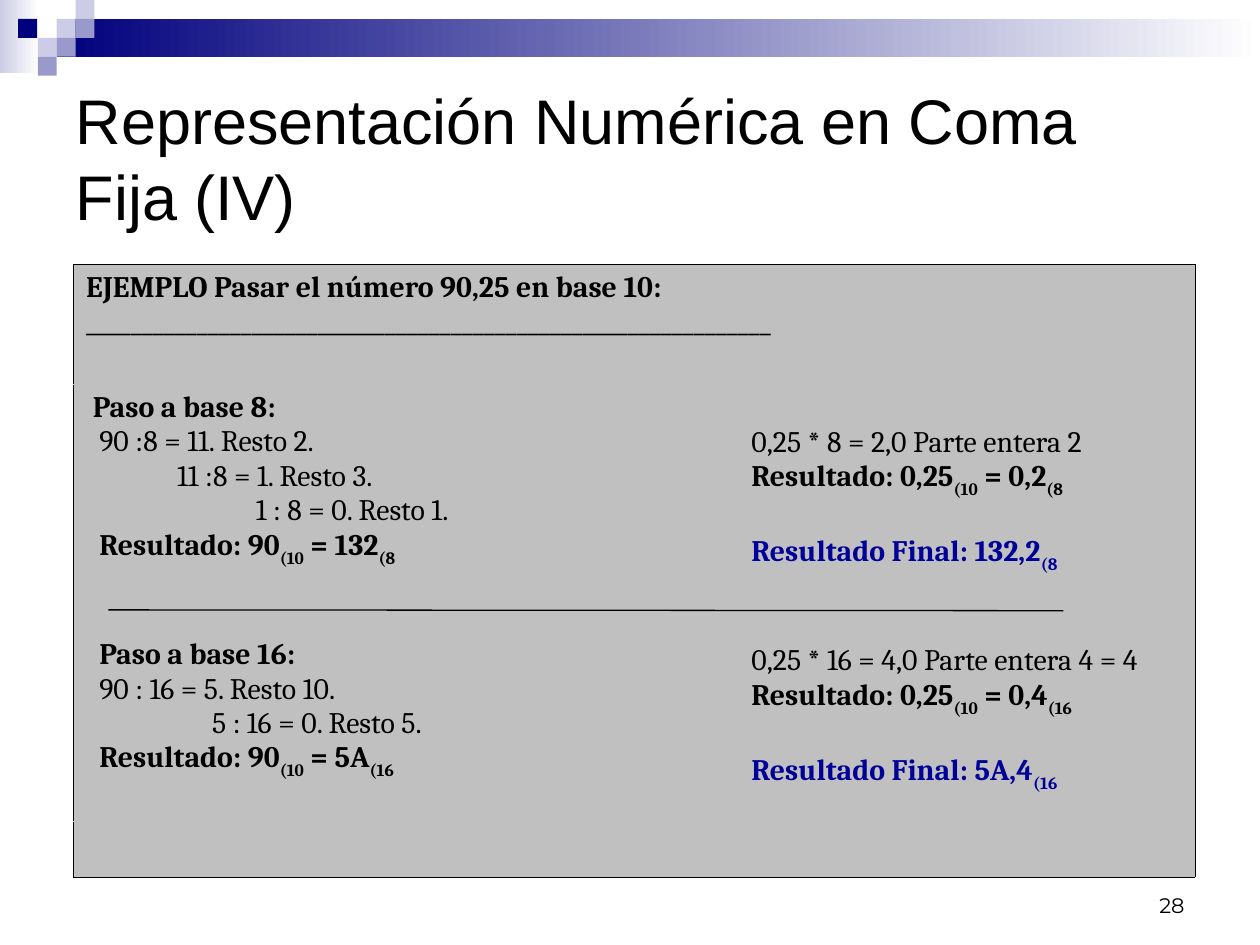
from lxml.etree import SubElement
from pptx import Presentation
from pptx.dml.color import RGBColor
from pptx.enum.shapes import MSO_CONNECTOR as Connector, MSO_SHAPE as Shape
from pptx.enum.text import MSO_ANCHOR as Anchor, MSO_AUTO_SIZE as AutoSize, PP_ALIGN as Align
from pptx.oxml.ns import qn
from pptx.util import Pt

BLACK, GRAY, BLUE = "000000", "C0C0C0", "000099"
NAVY, LILAC, PALE, WHITE = "00007D", "9999CC", "CCCCE6", "FFFFFF"
rgb = RGBColor.from_string


def write(para, text, size=17, font="Cambria", color=BLACK, bold=False,
          align=Align.LEFT, before=0, indent=0):
    """Fill a paragraph; every second piece between bars is a subscript."""
    para.alignment = align
    para.space_before = Pt(before)
    properties = para._p.get_or_add_pPr()
    properties.set("marL", str(Pt(indent)))
    properties.set("indent", "0")
    for number, piece in enumerate(text.split("|")):
        span = para.add_run()
        span.text = piece
        span.font.size = Pt(size)
        span.font.name = font
        span.font.bold = bold
        span.font.color.rgb = rgb(color)
        if number % 2:
            span._r.get_or_add_rPr().set("baseline", "-30000")


def add_block(left, top, width, height, *colors):
    """Add a borderless rectangle, with a gradient when two colours are given."""
    block = page.shapes.add_shape(Shape.RECTANGLE, Pt(left), Pt(top), Pt(width), Pt(height))
    block.shadow.inherit = False
    block.line.fill.background()
    if len(colors) == 1:
        block.fill.solid()
        block.fill.fore_color.rgb = rgb(colors[0])
        return
    block.fill.gradient()
    block.fill.gradient_angle = 0
    for stop, position, color in zip(block.fill.gradient_stops, (0, 1), colors):
        stop.position = position
        stop.color.rgb = rgb(color)


deck = Presentation()
deck.slide_width, deck.slide_height = Pt(720), Pt(540)
page = deck.slides.add_slide(deck.slide_layouts[5])

# Header band and its squares
add_block(0, 0, 22.3, 41.8, PALE, WHITE)
add_block(32.4, 10.8, 687.6, 21.6, NAVY, WHITE)
for left, top, color in [
    (32.4, 10.8, PALE), (43.2, 0, PALE), (43.2, 10.8, LILAC), (21.6, 21.6, PALE),
    (10.4, 10.8, NAVY), (32.4, 21.6, LILAC), (21.6, 32.4, LILAC),
]:
    add_block(left, top, 10.8, 10.8, color)

# Slide number
number_box = page.shapes.add_textbox(Pt(516), Pt(492), Pt(168), Pt(36))
number_box.text_frame.word_wrap = True
number_box.text_frame.vertical_anchor = Anchor.BOTTOM
write(number_box.text_frame.paragraphs[0], "28", size=12, font="Montserrat", align=Align.RIGHT)

# Title
title = page.shapes.title
title.left, title.top, title.width, title.height = Pt(36), Pt(36), Pt(648), Pt(108)
title.text_frame.auto_size = AutoSize.NONE
title.text_frame.vertical_anchor = Anchor.MIDDLE
write(title.text_frame.paragraphs[0], "Representación Numérica en Coma Fija (IV)",
      size=36, font="Arial")

# Example table
table = page.shapes.add_table(3, 2, Pt(42), Pt(151.2), Pt(640.8), Pt(350)).table
table.first_row = table.horz_banding = False
for column, width in zip(table.columns, (380.2, 260.6)):
    column.width = Pt(width)
for row, height in zip(table.rows, (68.4, 249.8, 31.8)):
    row.height = Pt(height)
table.cell(0, 0).merge(table.cell(0, 1))

for row in range(3):
    for column in range(2):
        cell = table.cell(row, column)
        outer = {"lnL": column == 0, "lnR": column == 1, "lnT": row == 0, "lnB": row == 2}
        if row == 0:
            outer["lnR"] = True
        for side, is_outer in outer.items():
            border = SubElement(cell._tc.get_or_add_tcPr(), qn(f"a:{side}"), w=str(Pt(0.45)))
            fill = SubElement(border, qn("a:solidFill"))
            SubElement(fill, qn("a:srgbClr"), val=BLACK if is_outer else GRAY)
        cell.fill.solid()
        cell.fill.fore_color.rgb = rgb(GRAY)

LINE = 19.8  # height of one text line
bold = {"bold": True}
final = {"bold": True, "color": BLUE, "before": LINE}
heading = [
    ("EJEMPLO Pasar el número 90,25 en base 10:", bold),
    ("_" * 62, {}),
]
integer_part = [
    ("Paso a base 8:", {"bold": True, "indent": 3.8}),
    ("90 :8 = 11. Resto 2.", {"indent": 7.5}),
    ("11 :8 = 1. Resto 3.", {"indent": 52}),
    ("1 : 8 = 0. Resto 1.", {"indent": 97}),
    ("Resultado: 90|(10| = 132|(8", {"bold": True, "indent": 7.5}),
    ("Paso a base 16:", {"bold": True, "indent": 7.5, "before": 2 * LINE}),
    ("90 : 16 = 5. Resto 10.", {"indent": 7.5}),
    ("5 : 16 = 0. Resto 5.", {"indent": 72}),
    ("Resultado: 90|(10| = 5A|(16", {"bold": True, "indent": 7.5}),
]
fraction_part = [
    ("0,25 * 8 = 2,0 Parte entera 2", {}),
    ("Resultado: 0,25|(10| = 0,2|(8", bold),
    ("Resultado Final: 132,2|(8", final),
    ("0,25 * 16 = 4,0 Parte entera 4 = 4", {"before": 2 * LINE}),
    ("Resultado: 0,25|(10| = 0,4|(16", bold),
    ("Resultado Final: 5A,4|(16", final),
]
for row, column, lines, align in [
    (0, 0, heading, Align.LEFT),
    (1, 0, integer_part, Align.JUSTIFY),
    (1, 1, fraction_part, Align.JUSTIFY),
]:
    frame = table.cell(row, column).text_frame
    for number, (text, style) in enumerate(lines):
        para = frame.add_paragraph() if number else frame.paragraphs[0]
        write(para, text, align=align, **style)
table.cell(1, 1).margin_top = Pt(3.6 + LINE)

# Rule between the two conversions
rule = page.shapes.add_connector(Connector.STRAIGHT, Pt(62), Pt(348.5), Pt(607.7), Pt(349))
rule.line.color.rgb = rgb(BLACK)
rule.line.width = Pt(0.75)
SubElement(rule._element.spPr, qn("a:effectLst"))

deck.save("out.pptx")
